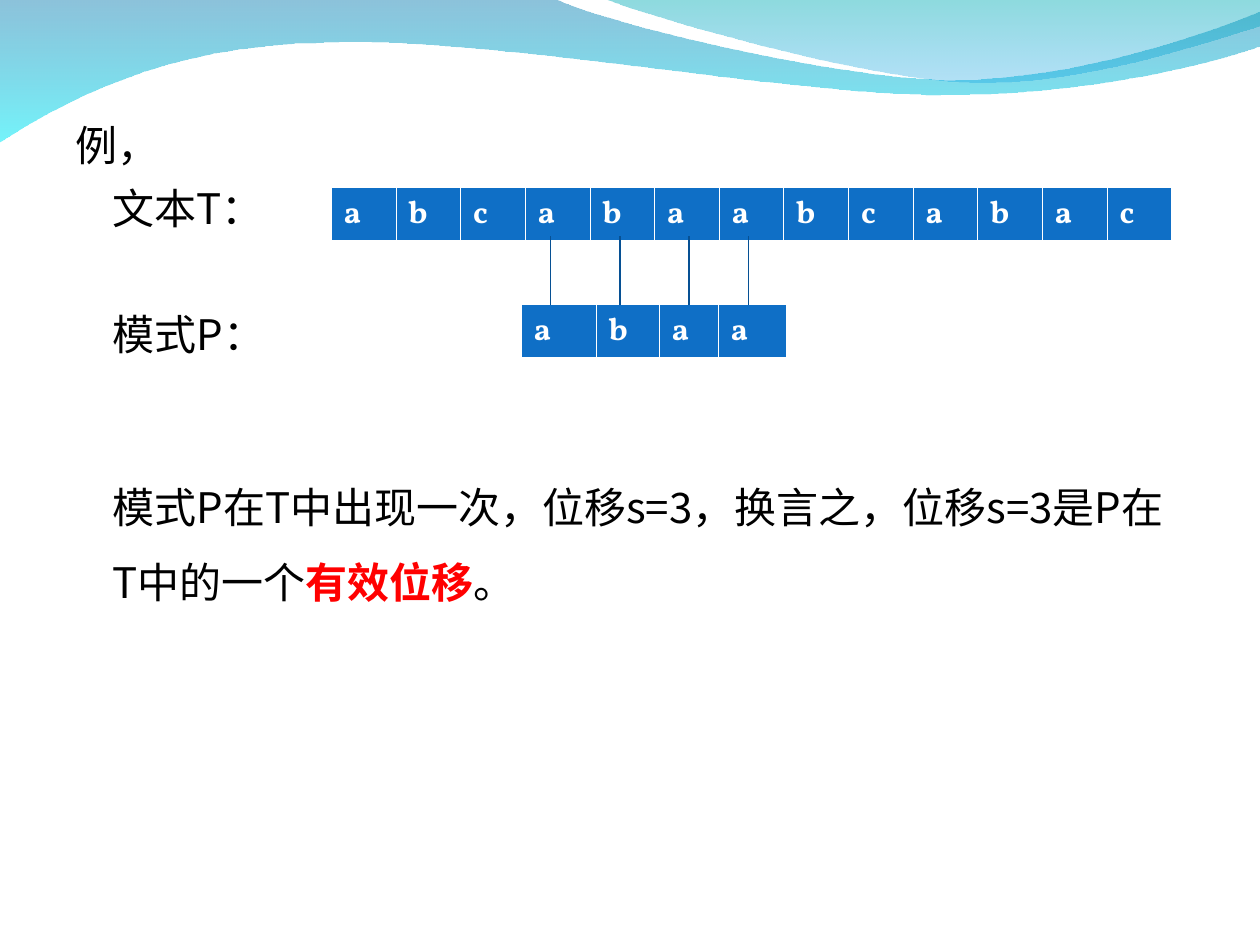
from lxml.etree import SubElement
from pptx import Presentation
from pptx.dml.color import RGBColor
from pptx.enum.shapes import MSO_CONNECTOR as Link
from pptx.oxml.ns import qn
from pptx.util import Cm, Pt


def colour(code):
    return RGBColor.from_string(code)


class SlideMaker:
    body = {"name": "Noto Sans CJK SC", "size": Pt(24), "bold": False}
    strong = {"name": "Noto Sans CJK SC", "size": Pt(24), "bold": True}
    letter = {"name": "Vollkorn", "size": Pt(18), "bold": True}
    borders = {"a:lnL": 0.45, "a:lnR": 0.45, "a:lnT": 0.45, "a:lnB": 1.47}
    black, white, red = "000000", "FFFFFF", "FF0000"
    cell_fill, line_colour = "0F6FC6", "065093"

    def __init__(self, page):
        self.page = page

    def span(self, para, text, style, code):
        span = para.add_run()
        span.text = text
        for name, value in style.items():
            setattr(span.font, name, value)
        span.font.color.rgb = colour(code)
        SubElement(span.font._element, qn("a:ea"), typeface=style["name"])

    def wave(self, segments, stops):
        """Segments hold one point (straight) or three points (cubic curve)."""
        points = [(Cm(x), Cm(y)) for segment in segments for x, y in segment]
        builder = self.page.shapes.build_freeform(*points[0])
        builder.add_line_segments(points[1:], close=True)
        shape = builder.convert_to_shape()
        # Merge each group of three points into one curve
        nodes = iter(list(shape._element.iter(qn("a:lnTo"))))
        for segment in segments[1:]:
            first, *others = [next(nodes) for _ in segment]
            if others:
                curve = first.makeelement(qn("a:cubicBezTo"))
                first.addprevious(curve)
                for node in (first, *others):
                    curve.append(node[0])
                    node.getparent().remove(node)
        shape.shadow.inherit = False
        shape.line.fill.background()
        shape.fill.gradient()
        shape.fill.gradient_angle = 270
        for stop, (code, opacity) in zip(shape.fill.gradient_stops, stops):
            stop.color.rgb = colour(code)
        for node, (code, opacity) in zip(shape._element.iter(qn("a:srgbClr")), stops):
            SubElement(node, qn("a:alpha"), val=str(opacity * 1000))

    def text(self, left, top, width, height, paragraphs):
        box = self.page.shapes.add_textbox(Cm(left), Cm(top), Cm(width), Cm(height))
        frame = box.text_frame
        frame.word_wrap = True
        for index, (indent, before, spacing, spans) in enumerate(paragraphs):
            para = frame.add_paragraph() if index else frame.paragraphs[0]
            para._p.get_or_add_pPr().set("marL", str(Cm(indent)))
            layout = {"space_before": Pt(before), "line_spacing": Pt(spacing)}
            for name, value in layout.items():
                setattr(para, name, value)
            for span in spans:
                self.span(para, *span)

    def letters(self, left, top, widths, height, text):
        table = self.page.shapes.add_table(
            1, len(text), Cm(left), Cm(top), Cm(sum(widths)), Cm(height)).table
        table.rows[0].height = Cm(height)
        for column, width, cell, char in zip(
                table.columns, widths, table.rows[0].cells, text):
            column.width = Cm(width)
            properties = cell._tc.get_or_add_tcPr()
            for tag, points in self.borders.items():
                border = SubElement(properties, qn(tag), w=str(Pt(points)))
                fill = SubElement(border, qn("a:solidFill"))
                SubElement(fill, qn("a:srgbClr"), val=self.white)
            cell.fill.solid()
            cell.fill.fore_color.rgb = colour(self.cell_fill)
            self.span(cell.text_frame.paragraphs[0], char, self.letter, self.white)

    def line(self, x, start, end):
        line = self.page.shapes.add_connector(
            Link.STRAIGHT, Cm(x), Cm(start), Cm(x), Cm(end))
        line.line.color.rgb = colour(self.line_colour)
        line.line.width = Pt(0.75)
        SubElement(line._element.spPr, qn("a:effectLst"))


def main():
    deck = Presentation()
    deck.slide_width, deck.slide_height = Cm(25.4), Cm(19.05)
    maker = SlideMaker(deck.slides.add_slide(deck.slide_layouts[6]))

    # Waves along the top
    maker.wave([
        [(0, -0.03)], [(11.18, -0.03)],
        [(12.09, 0.43), (16.87, 1.6), (19.25, 1.6)],
        [(21.67, 1.6), (24.33, 0.66), (25.4, 0.23)],
        [(25.43, 0.91)],
        [(24.97, 1.12), (22.1, 1.93), (18.95, 1.91)],
        [(15.8, 1.91), (9.7, 0.71), (6.53, 0.86)],
        [(3.28, 0.89), (1.17, 2.11), (-0.03, 2.87)],
    ], [("0079AF", 45), ("00EBF8", 55)])
    maker.wave([
        [(12.17, -0.03)],
        [(12.93, 0.28), (17.32, 1.57), (19.53, 1.65)],
        [(21.74, 1.75), (24.41, 0.81), (25.4, 0.53)],
        [(25.4, 0)],
    ], [("00ADB6", 45), ("009BE5", 30)])

    # Example text: indent, space before, line spacing, spans
    body, black = maker.body, maker.black
    maker.text(1.27, 1.78, 22.86, 12.19, [
        (0, 0, 43, [("例，", body, black)]),
        (0.75, 0, 36, [("文本T：", body, black)]),
        (0.75, 36, 36, [("模式P：", body, black)]),
        (0.75, 56, 43, [
            ("模式P在T中出现一次，位移s=3，换言之，位移s=3是P在T中的一个", body, black),
            ("有效位移", maker.strong, maker.red),
            ("。", body, black)]),
    ])

    # Text and pattern letters
    sequence = "abcabaabcabac"
    count = len(sequence)
    maker.letters(6.68, 3.78, [16.94 / count] * count, 1.09, sequence)
    maker.letters(10.51, 6.13, [1.51, 1.27, 1.19, 1.38], 1.09, "abaa")

    # Matching letters
    for x in (11.1, 12.5, 13.89, 15.09):
        maker.line(x, 6.15, 4.75)

    deck.save("out.pptx")


if __name__ == "__main__":
    main()
